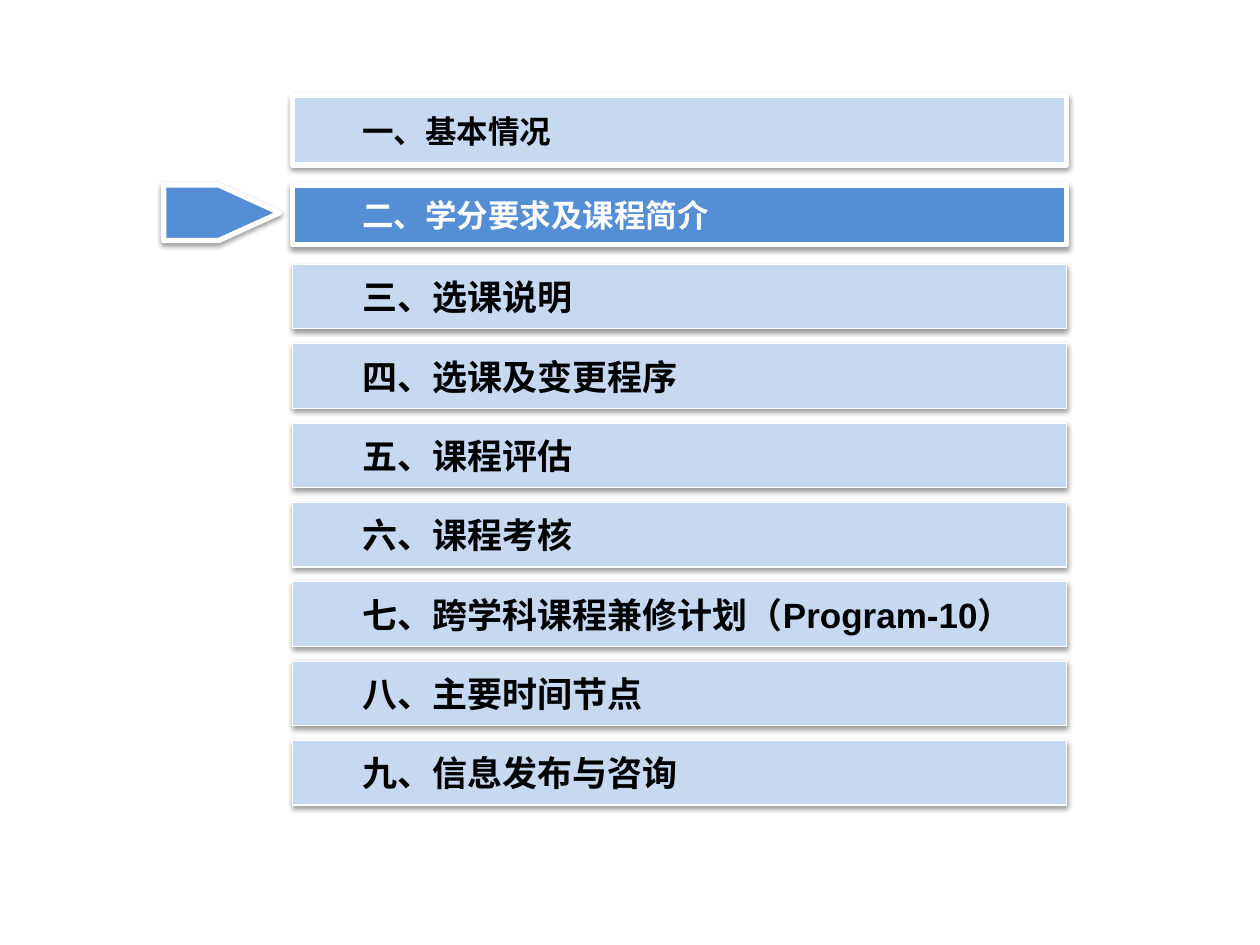
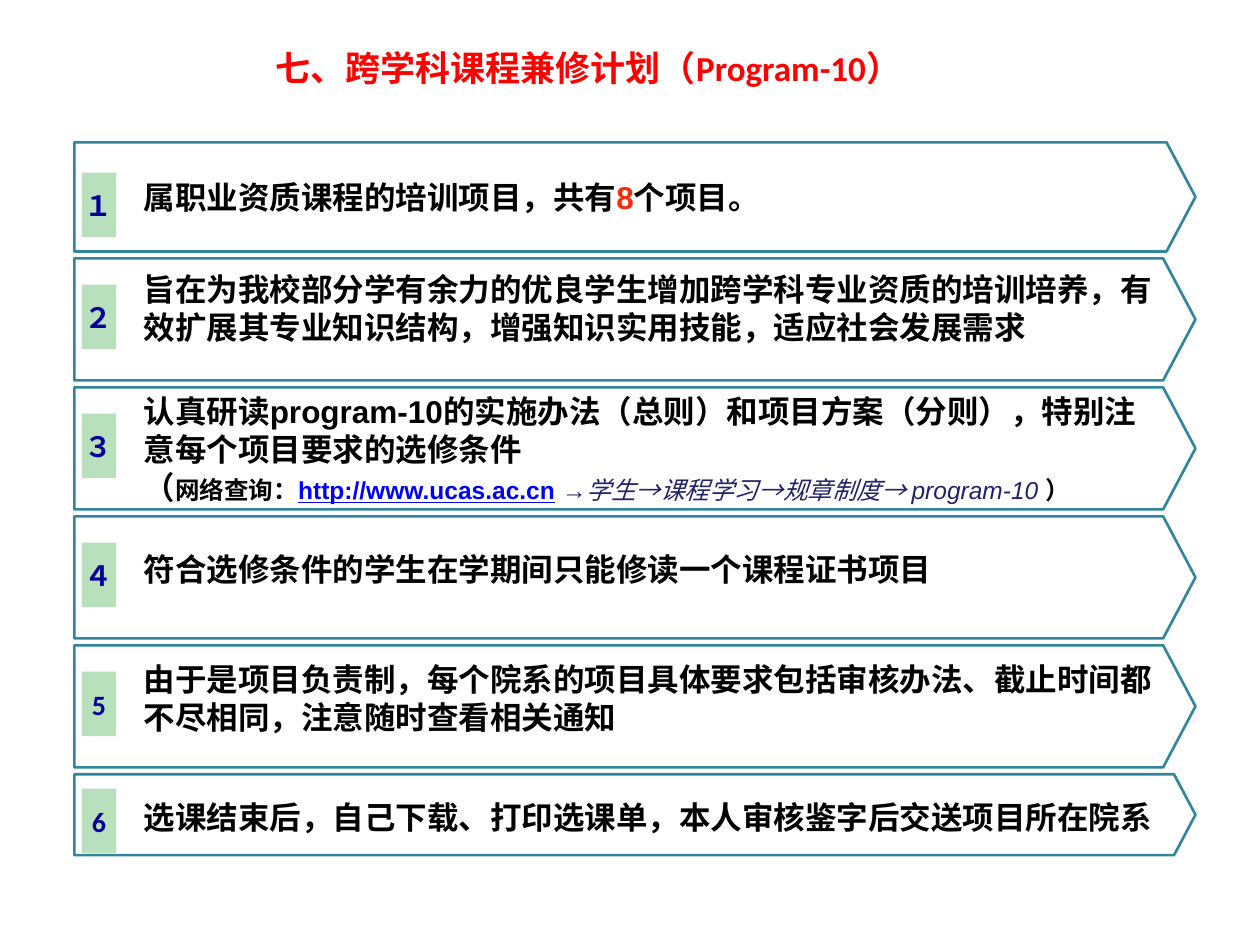
from lxml import etree
from pptx import Presentation
from pptx.dml.color import RGBColor
from pptx.enum.shapes import MSO_SHAPE
from pptx.enum.text import MSO_ANCHOR, PP_ALIGN
from pptx.oxml.ns import qn
from pptx.util import Cm, Pt

RECT, PENTAGON = MSO_SHAPE.RECTANGLE, MSO_SHAPE.PENTAGON
MIDDLE = MSO_ANCHOR.MIDDLE
LEFT, CENTER = PP_ALIGN.LEFT, PP_ALIGN.CENTER

COLORS = {
    "white": "FFFFFF", "black": "000000", "red": "FF0000", "orange": "F62C0A",
    "pale": "C6D9F1", "active": "558ED5", "teal": "31859C", "mint": "B8E0BC",
    "digit": "000099", "link": "0000FF", "navy": "222268",
}
PROGRAM_TITLE = "七、跨学科课程兼修计划（Program-10）"


def add_box(slide, kind, box, fill, line=None, line_pt=0.75, shadow=False):
    """Preset shape; box is left, top, width, height in cm."""
    sp = slide.shapes.add_shape(kind, *map(Cm, box))
    sp.shadow.inherit = False
    sp.fill.solid()
    sp.fill.fore_color.rgb = RGBColor.from_string(COLORS[fill])
    if line:
        sp.line.color.rgb = RGBColor.from_string(COLORS[line])
        sp.line.width = Pt(line_pt)
    else:
        sp.line.fill.background()
    if shadow:
        effects = sp._element.spPr.find(qn("a:effectLst"))
        outer = etree.SubElement(effects, qn("a:outerShdw"), blurRad=str(Pt(3.1)),
                                 dist=str(Pt(1.6)), dir="5400000", rotWithShape="0")
        color = etree.SubElement(outer, qn("a:srgbClr"), val=COLORS["black"])
        etree.SubElement(color, qn("a:alpha"), val="38000")
    return sp


def write(sp, paragraphs, size, font="Arial", color="black", align=LEFT,
          insets=(0, 0, 0, 0), wrap=True):
    """Bold text; a run is (text, changes), insets are in cm."""
    tf = sp.text_frame
    tf.word_wrap = wrap
    tf.vertical_anchor = MIDDLE
    tf.margin_left, tf.margin_top, tf.margin_right, tf.margin_bottom = map(Cm, insets)
    for i, runs in enumerate(paragraphs):
        p = tf.add_paragraph() if i else tf.paragraphs[0]
        p.alignment = align
        for text, look in runs:
            r = p.add_run()
            r.text = text
            r.font.name = font
            r.font.size = Pt(look.get("size", size))
            r.font.bold = look.get("bold", True)
            r.font.italic = look.get("italic", False)
            r.font.underline = look.get("underline", False)
            r.font.color.rgb = RGBColor.from_string(COLORS[look.get("color", color)])


prs = Presentation()
prs.slide_width, prs.slide_height = Cm(25.4), Cm(19.05)
blank = prs.slide_layouts[6]

# Slide 1: agenda
s = prs.slides.add_slide(blank)
BAR_LEFT, BAR_WIDTH = 5.9, 15.6
BAR_INSETS = (1.4, 0.13, 0.25, 0.13)

# text, top, height, fill, line width, text colour, size, font
bars = [
    ("一、基本情况", 1.93, 1.4, "pale", 3, "black", 18, "Arial"),
    ("二、学分要求及课程简介", 3.73, 1.2, "active", 3, "white", 18, "Arial"),
]
later_topics = [
    ("三、选课说明", "Calibri"),
    ("四、选课及变更程序", "Calibri"),
    ("五、课程评估", "Calibri"),
    ("六、课程考核", "Calibri"),
    (PROGRAM_TITLE, "Arial"),
    ("八、主要时间节点", "Arial"),
    ("九、信息发布与咨询", "Arial"),
]
for i, (topic, font) in enumerate(later_topics):
    bars.append((topic, 5.33 + 1.6 * i, 1.3, "pale", 0.75, "black", 20, font))

for topic, top, height, fill, line_pt, color, size, font in bars:
    sp = add_box(s, RECT, (BAR_LEFT, top, BAR_WIDTH, height), fill, "white", line_pt, True)
    write(sp, [[(topic, {})]], size, font, color, insets=BAR_INSETS, wrap=False)

marker = add_box(s, PENTAGON, (3.3, 3.73, 2.34, 1.12), "active", "white", 3, True)
marker.adjustments[0] = 1.1

# Slide 2: interdisciplinary programme
s = prs.slides.add_slide(blank)
title = s.shapes.add_textbox(Cm(5.3), Cm(0.6), Cm(18.8), Cm(1.53))
write(title, [[(PROGRAM_TITLE, {})]], 20, "Calibri", "red",
      insets=(0.25, 0.13, 0.25, 0.13))

small = {"size": 14}
# number, height, badge offset, text offset, text height, paragraphs
points = [
    ("１", 2.2, 0.61, 0.71, 0.76,
     [[("属职业资质课程的培训项目，共有", {}), ("8", {"color": "orange"}),
       ("个项目。", {})]]),
    ("２", 2.46, 0.53, 0.23, 1.52,
     [[("旨在为我校部分学有余力的优良学生增加跨学科专业资质的培训培养，"
        "有效扩展其专业知识结构，增强知识实用技能，适应社会发展需求", {})]]),
    ("３", 2.46, 0.53, 0.1, 2.29,
     [[("认真研读program-10的实施办法（总则）和项目方案（分则），"
        "特别注意每个项目要求的选修条件", {})],
      [("（", {}), ("网络查询：", small),
       ("http://www.ucas.ac.cn", {**small, "color": "link", "underline": True}),
       (" ", small),
       ("→学生→课程学习→规章制度→ program-10 ",
        {**small, "color": "navy", "bold": False, "italic": True}),
       ("）", small)]]),
    ("４", 2.46, 0.53, 0.67, 0.76,
     [[("符合选修条件的学生在学期间只能修读一个课程证书项目", {})]]),
    ("5", 2.46, 0.53, 0.3, 1.52,
     [[("由于是项目负责制，每个院系的项目具体要求包括审核办法、"
        "截止时间都不尽相同，注意随时查看相关通知", {})]]),
    ("6", 1.63, 0.29, 0.48, 0.76,
     [[("选课结束后，自己下载、打印选课单，本人审核鉴字后交送项目所在院系", {})]]),
]
ROW_GAP = 0.14
top = 2.87
for number, height, badge_dy, text_dy, text_height, paragraphs in points:
    plate = add_box(s, PENTAGON, (1.5, top, 22.6, height), "white", "teal", 1.5)
    plate.adjustments[0] = 0.265
    badge = add_box(s, RECT, (1.65, top + badge_dy, 0.69, 1.3), "mint")
    write(badge, [[(number, {})]], 16, "Calibri", "digit", CENTER)
    text = s.shapes.add_textbox(Cm(2.9), Cm(top + text_dy), Cm(20.45), Cm(text_height))
    write(text, paragraphs, 18)
    top += height + ROW_GAP

prs.save("out.pptx")
